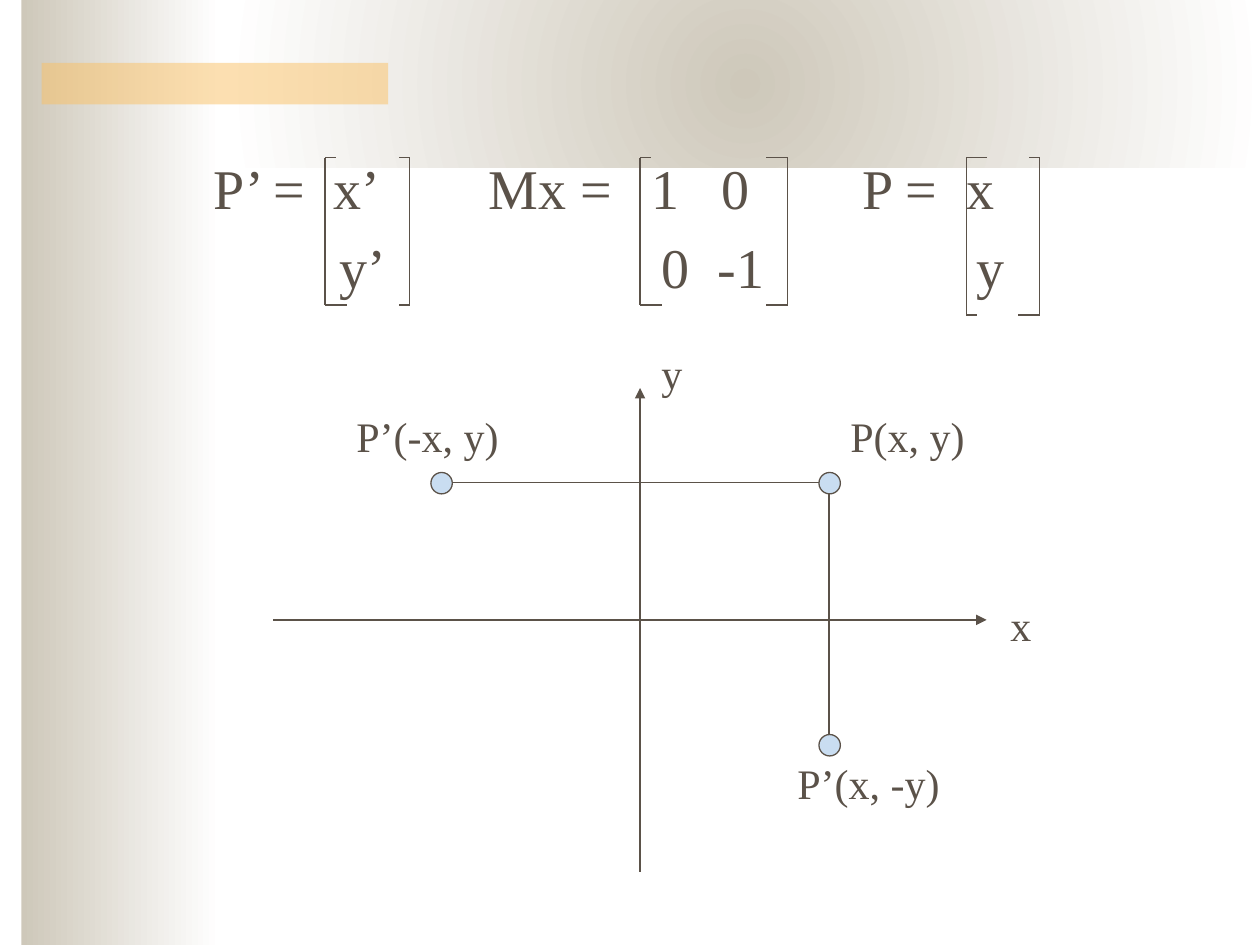
from lxml import etree
from pptx import Presentation
from pptx.dml.color import RGBColor
from pptx.enum.shapes import MSO_CONNECTOR, MSO_SHAPE
from pptx.oxml.ns import qn
from pptx.util import Inches, Pt

RECT, OVAL = MSO_SHAPE.RECTANGLE, MSO_SHAPE.OVAL
LINE = MSO_CONNECTOR.STRAIGHT
INK = RGBColor(0x5B, 0x52, 0x49)
SAND = RGBColor(0xCE, 0xC8, 0xBA)
WHITE = RGBColor(0xFF, 0xFF, 0xFF)
GOLD = RGBColor(0xFA, 0xC1, 0x64)
BLUE = RGBColor(0xC9, 0xDD, 0xF1)


def add(node, tag, **attrs):
    return etree.SubElement(node, qn(tag), **attrs)


def write(para, text, size=24, color=INK, font="Times New Roman", tabs=(), before=0):
    if tabs:
        stops = add(para._p.get_or_add_pPr(), "a:tabLst")
        for tab in tabs:
            add(stops, "a:tab", pos=str(Inches(tab)), algn="l")
    para.space_before = Pt(before)
    run = para.add_run()
    run.text = text
    run.font.size = Pt(size)
    run.font.name = font
    run.font.color.rgb = color


class Board:
    """Draws styled elements on the current slide."""

    def __init__(self, slide, ink=INK, width=0.75):
        self.slide, self.ink, self.width = slide, ink, width

    def shape(self, kind, *box):
        item = self.slide.shapes.add_shape(kind, *map(Inches, box))
        item.shadow.inherit = False
        item.line.fill.background()
        return item

    def fade(self, *box, round=False):
        fill = self.shape(RECT, *box).fill
        fill.gradient()
        fill.gradient_angle = 0
        for stop, color, spot in zip(fill.gradient_stops, (SAND, WHITE), (0, 1)):
            stop.color.rgb, stop.position = color, spot
        if round:
            grad = fill._xPr.find(qn("a:gradFill"))
            grad.remove(grad.find(qn("a:lin")))
            ring = add(grad, "a:path")
            ring.set("path", "circle")
            add(ring, "a:fillToRect", **dict.fromkeys("ltrb", "50000"))

    def bar(self, *box, alpha):
        fill = self.shape(RECT, *box).fill
        fill.solid()
        fill.fore_color.rgb = GOLD
        tone = fill._xPr.find(qn("a:solidFill"))[0]
        add(tone, "a:alpha", val=str(alpha * 1000))

    def line(self, *ends, arrow=None):
        item = self.slide.shapes.add_connector(LINE, *map(Inches, ends))
        item.line.color.rgb = self.ink
        item.line.width = Pt(self.width)
        if arrow:
            add(item.line._ln, arrow, type="triangle")
        add(item._element.spPr, "a:effectLst")

    def bracket(self, x, top, foot, up, down):
        self.line(x, top, x, foot)
        self.line(x, top, x + up, top)
        self.line(x, foot, x + down, foot)

    def dot(self, x, y, size=0.17):
        item = self.shape(OVAL, x, y, size, size)
        item.fill.solid()
        item.fill.fore_color.rgb = BLUE
        item.line.color.rgb = self.ink
        item.line.width = Pt(self.width)

    def frame(self, *box):
        frame = self.slide.shapes.add_textbox(*map(Inches, box)).text_frame
        frame.word_wrap = True
        return frame

    def label(self, text, x, y, wide):
        write(self.frame(x, y, wide, 0.5).paragraphs[0], text)

    def matrix(self, rows, *box):
        frame = self.frame(*box)
        start = box[0] + 0.1
        for i, row in enumerate(rows):
            para = frame.add_paragraph() if i else frame.paragraphs[0]
            text = "".join("\t" + word for word, _ in row)
            tabs = [x - start for _, x in row]
            write(para, text, size=32, tabs=tabs, before=6.4 if i else 0)


def main():
    deck = Presentation()
    deck.slide_width, deck.slide_height = Inches(10), Inches(7.5)
    board = Board(deck.slides.add_slide(deck.slide_layouts[6]))

    board.fade(0.17, 0, 1.58, 7.5)
    board.fade(1.83, 0, 8.17, 1.33, round=True)
    board.bar(0.33, 0.5, 2.75, 0.33, alpha=50)

    board.matrix([
        [("P’ =", 1.7), ("x’", 2.65), ("Mx =", 3.88), ("1", 5.17),
         ("0", 5.73), ("P =", 6.85), ("x", 7.67)],
        [("y’", 2.7), ("0", 5.25), ("-1", 5.7), ("y", 7.75)],
    ], 1.17, 1.17, 8.5, 6)

    for x, foot, up, down in [
        (2.58, 2.42, 0.09, 0.17), (3.25, 2.42, -0.08, -0.08),
        (5.08, 2.42, 0.09, 0.17), (6.25, 2.42, -0.17, -0.17),
        (7.67, 2.5, 0.16, 0.08), (8.25, 2.5, -0.08, -0.17),
    ]:
        board.bracket(x, 1.25, foot, up, down)

    board.line(5.08, 3.08, 5.08, 6.92, arrow="a:headEnd")
    board.line(2.17, 4.92, 7.83, 4.92, arrow="a:tailEnd")
    board.line(3.58, 3.83, 6.58, 3.83)
    board.line(6.58, 3.83, 6.58, 5.83)

    for x, y in [(3.42, 3.75), (6.5, 3.75), (6.5, 5.83)]:
        board.dot(x, y)

    for text, x, y, wide in [
        ("y", 5.15, 2.71, 0.37), ("x", 7.92, 4.71, 0.37),
        ("P’(-x, y)", 2.73, 3.21, 1.4), ("P(x, y)", 6.65, 3.21, 1.2),
        ("P’(x, -y)", 6.23, 5.96, 1.4),
    ]:
        board.label(text, x, y, wide)

    deck.save("out.pptx")


if __name__ == "__main__":
    main()
